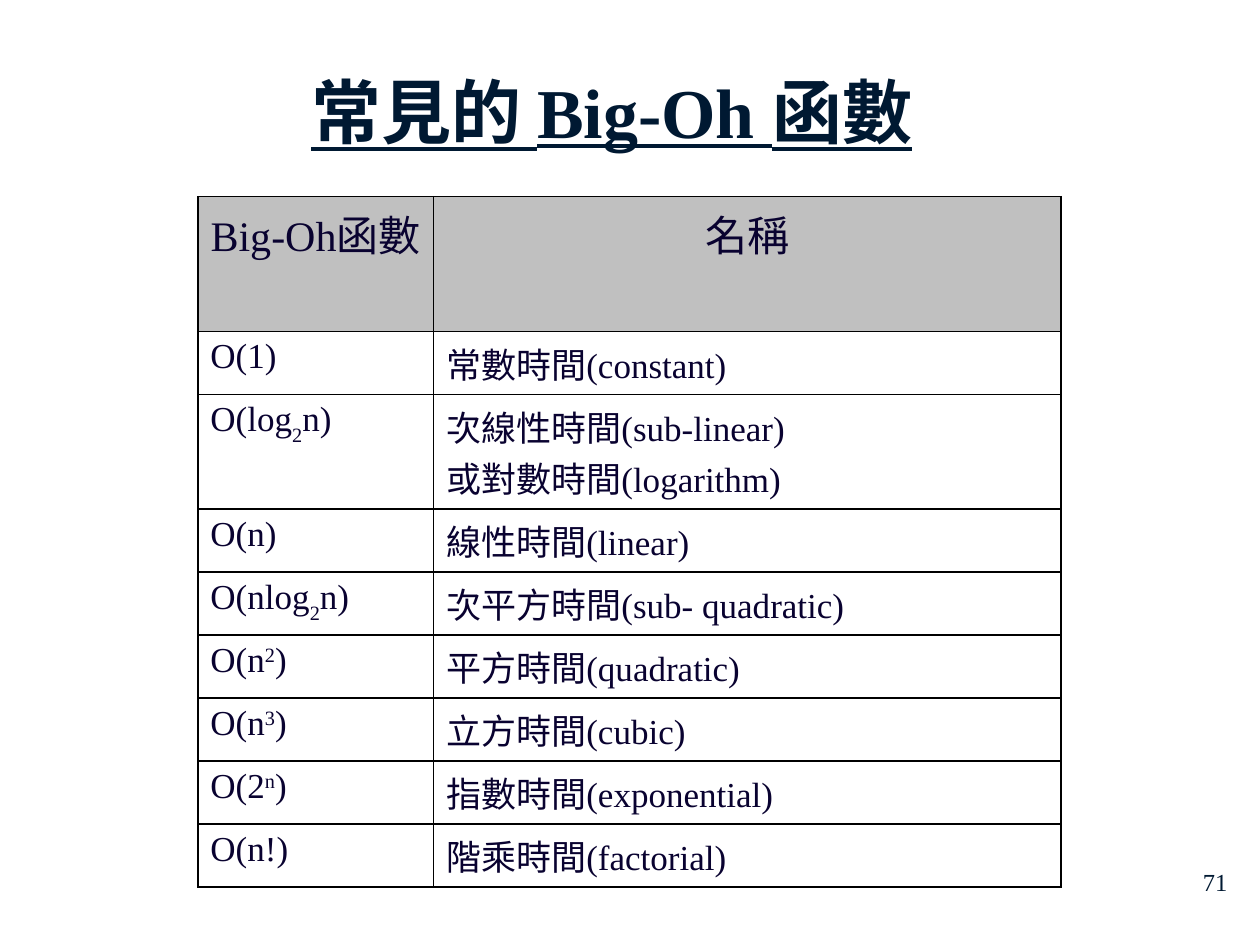
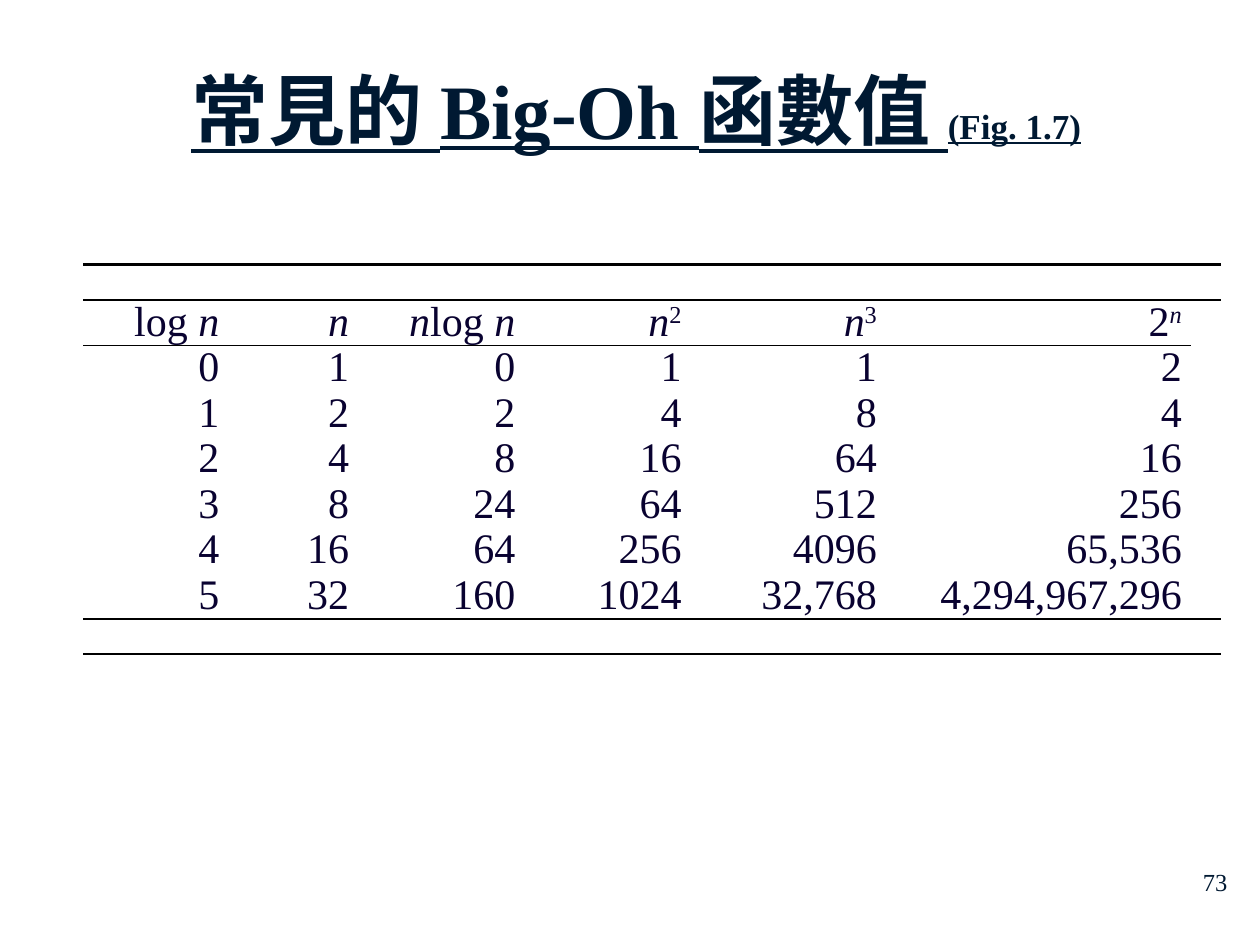
import pptx
import pptx.dml.color
import pptx.enum.text
import pptx.oxml
import pptx.oxml.ns
import pptx.util

Inches = pptx.util.Inches
Pt = pptx.util.Pt
ALIGN = pptx.enum.text.PP_ALIGN
ANCHOR = pptx.enum.text.MSO_ANCHOR

COLORS = {"title": "001932", "body": "090230", "header": "C0C0C0", "rule": "000000"}
FONT = "Times New Roman"
SUB = {"baseline": -30}
SUPER = {"baseline": 30}
ITALIC = {"italic": True}
ITALIC_SUPER = {"italic": True, "baseline": 30}
N = ("n", ITALIC)

BIG_OH_NAMES = [
    (["O(1)"], ["常數時間(constant)"]),
    ([["O(log", ("2", SUB), "n)"]], ["次線性時間(sub-linear)", "或對數時間(logarithm)"]),
    (["O(n)"], ["線性時間(linear)"]),
    ([["O(nlog", ("2", SUB), "n)"]], ["次平方時間(sub- quadratic)"]),
    ([["O(n", ("2", SUPER), ")"]], ["平方時間(quadratic)"]),
    ([["O(n", ("3", SUPER), ")"]], ["立方時間(cubic)"]),
    ([["O(2", ("n", SUPER), ")"]], ["指數時間(exponential)"]),
    (["O(n!)"], ["階乘時間(factorial)"]),
]

GROWTH = [
    (["log ", N], ["0", "1", "2", "3", "4", "5"]),
    ([N], ["1", "2", "4", "8", "16", "32"]),
    ([N, "log ", N], ["0", "2", "8", "24", "64", "160"]),
    ([N, ("2", SUPER)], ["1", "4", "16", "64", "256", "1024"]),
    ([N, ("3", SUPER)], ["1", "8", "64", "512", "4096", "32,768"]),
    (["2", ("n", ITALIC_SUPER)], ["2", "4", "16", "256", "65,536", "4,294,967,296"]),
]


def style_run(run, size, color, bold=False, italic=False, underline=False, baseline=0):
    """Apply the character format to one run."""
    run.font.name = FONT
    run.font.size = Pt(size)
    run.font.color.rgb = pptx.dml.color.RGBColor.from_string(COLORS[color])
    run.font.bold = bold
    run.font.italic = italic
    run.font.underline = underline
    properties = run._r.get_or_add_rPr()
    properties.set("lang", "zh-TW")
    if baseline:
        properties.set("baseline", str(baseline * 1000))


def write_text(frame, lines, align=ALIGN.LEFT, spacing=None, **format):
    """Write lines, each a string or a list of strings and (text, format) pairs."""
    for index, line in enumerate(lines):
        paragraph = frame.add_paragraph() if index else frame.paragraphs[0]
        paragraph.alignment = align
        if spacing:
            paragraph.line_spacing = Pt(spacing)
        for part in [line] if isinstance(line, str) else line:
            text, extra = (part, {}) if isinstance(part, str) else part
            run = paragraph.add_run()
            run.text = text
            style_run(run, **{**format, **extra})


def add_text(slide, box, lines, anchor=ANCHOR.TOP, inset=(0.1, 0.05), **format):
    """Add a wrapping text box at box (left, top, width, height)."""
    frame = slide.shapes.add_textbox(*map(Inches, box)).text_frame
    frame.word_wrap = True
    frame.vertical_anchor = anchor
    frame.margin_left = frame.margin_right = Inches(inset[0])
    frame.margin_top = frame.margin_bottom = Inches(inset[1])
    write_text(frame, lines, **format)


def add_title(slide, box, line, size):
    """Add the underlined slide title."""
    add_text(slide, box, [line], anchor=ANCHOR.BOTTOM, inset=(0.1, 0),
             align=ALIGN.CENTER, size=size, color="title", bold=True, underline=True)


def add_page_number(slide, number):
    """Add the page number at the lower right."""
    add_text(slide, (7.76, 6.83, 2.08, 0.5), [number], align=ALIGN.RIGHT, size=14, color="title")


def add_grid(slide, left, top, widths, heights):
    """Add a plain table with the given column widths and row heights."""
    table = slide.shapes.add_table(
        len(heights), len(widths), Inches(left), Inches(top),
        Inches(sum(widths)), Inches(sum(heights))).table
    table.first_row = table.horz_banding = False
    for column, width in zip(table.columns, widths):
        column.width = Inches(width)
    for row, height in zip(table.rows, heights):
        row.height = Inches(height)
    return table


def style_cell(cell, borders, fill=None):
    """Set the borders, a dict of side to points, and the fill of a cell."""
    properties = cell._tc.get_or_add_tcPr()
    for side in "LRTB":
        points = borders.get(side, 0)
        paint = (f'<a:solidFill><a:srgbClr val="{COLORS["rule"]}"/></a:solidFill>'
                 if points else "<a:noFill/>")
        properties.append(pptx.oxml.parse_xml(
            f'<a:ln{side} {pptx.oxml.ns.nsdecls("a")} w="{int(Pt(points))}">{paint}</a:ln{side}>'))
    if fill:
        cell.fill.solid()
        cell.fill.fore_color.rgb = pptx.dml.color.RGBColor.from_string(COLORS[fill])
    else:
        cell.fill.background()


def shrink_empty_cell(cell):
    """Keep an empty cell from stretching its row."""
    cell.margin_top = cell.margin_bottom = 0
    cell.text_frame.paragraphs[0]._p.append(pptx.oxml.parse_xml(
        f'<a:endParaRPr {pptx.oxml.ns.nsdecls("a")} sz="1000"/>'))


def add_names_table(slide, left, top):
    """Add the table of Big-Oh functions and their names."""
    heights = [1.07] + [0.5 if len(names) == 1 else 0.91 for _, names in BIG_OH_NAMES]
    table = add_grid(slide, left, top, [1.87, 4.98], heights)
    rows = [(["Big-Oh函數"], ["名稱"])] + BIG_OH_NAMES
    for r, row in enumerate(rows):
        for c, lines in enumerate(row):
            cell = table.cell(r, c)
            style_cell(cell, dict.fromkeys("LRTB", 1), None if r else "header")
            write_text(cell.text_frame, lines, align=ALIGN.LEFT if r else ALIGN.CENTER,
                       size=20 if r else 24, color="body")


def add_growth_table(slide, left, top):
    """Add the table of function values, ruled above and below."""
    table = add_grid(slide, left, top, [1.15, 1.03, 1.32, 1.32, 1.55, 2.42, 0.13],
                     [0.28, 0.36, 2.17, 0.28])
    last = len(GROWTH)
    for r, borders in ((0, {"T": 1.5, "B": 1}), (3, {"T": 1, "B": 1.5})):
        for c in range(last + 1):
            style_cell(table.cell(r, c), borders)
            shrink_empty_cell(table.cell(r, c))
        table.cell(r, 0).merge(table.cell(r, last))
    for c, (heading, values) in enumerate(GROWTH):
        for r, lines in ((1, [heading]), (2, values)):
            cell = table.cell(r, c)
            style_cell(cell, {"T": 1, "B": 1})
            cell.margin_left = cell.margin_right = Inches(0.07)
            cell.margin_top = cell.margin_bottom = 0
            write_text(cell.text_frame, lines, align=ALIGN.RIGHT, spacing=26,
                       size=24, color="body")
    for r in (1, 2):
        style_cell(table.cell(r, last), {})
        shrink_empty_cell(table.cell(r, last))


def build_names_slide(slide):
    """Build the slide that names the common functions."""
    add_page_number(slide, "71")
    add_names_table(slide, 1.57, 1.56)
    add_title(slide, (2.03, 0.44, 5.65, 0.77), "常見的 Big-Oh 函數", 40)


def build_growth_slide(slide):
    """Build the slide that compares function values."""
    add_title(slide, (0.8, 0.46, 8.5, 0.77),
              ["常見的 Big-Oh 函數值 ", ("(Fig. 1.7)", {"size": 20})], 44)
    add_page_number(slide, "73")
    add_growth_table(slide, 0.66, 2.1)


def main():
    """Build and save the presentation."""
    deck = pptx.Presentation()
    deck.slide_width, deck.slide_height = Inches(10), Inches(7.5)
    for build in (build_names_slide, build_growth_slide):
        build(deck.slides.add_slide(deck.slide_layouts[6]))
    deck.save("out.pptx")


if __name__ == "__main__":
    main()
